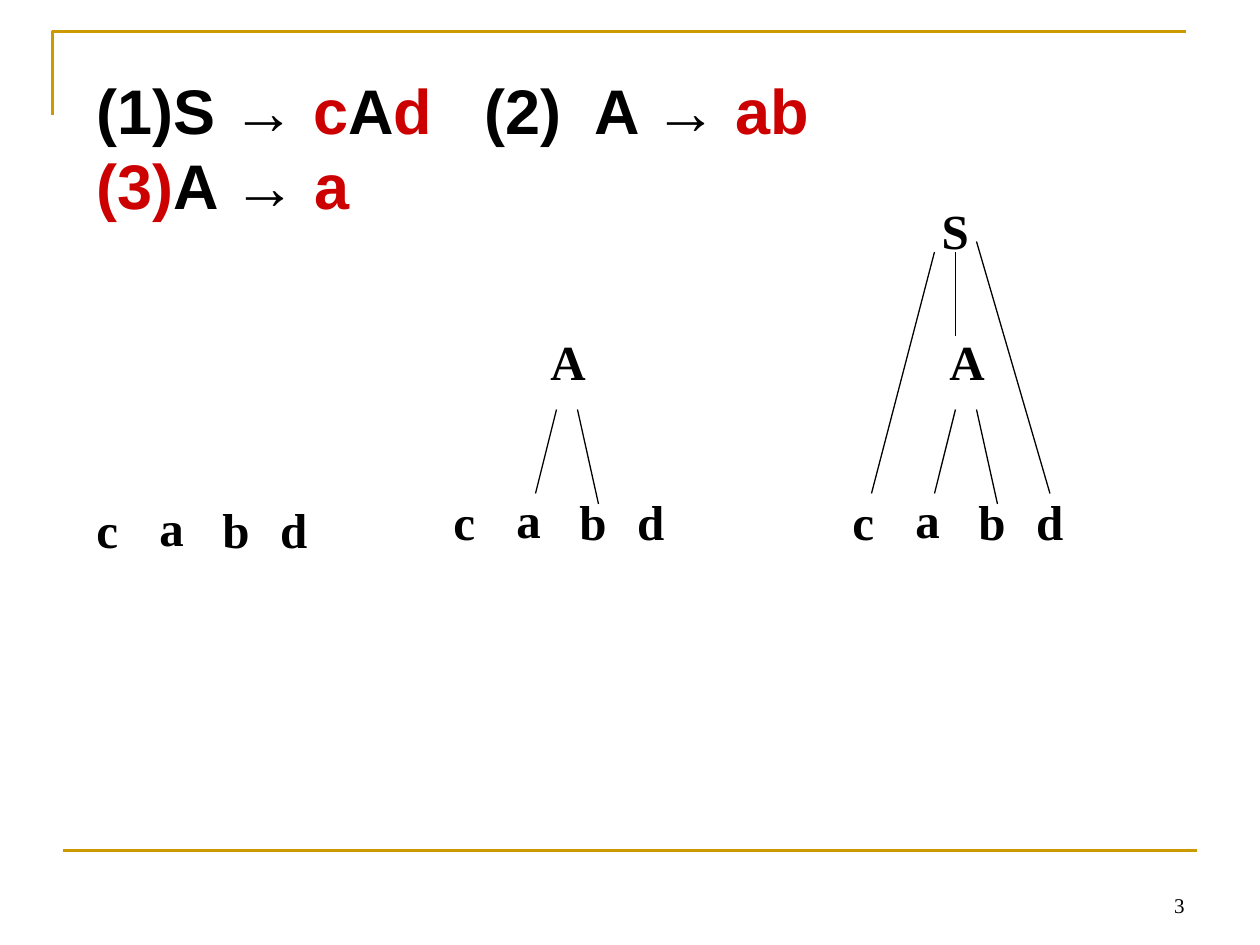
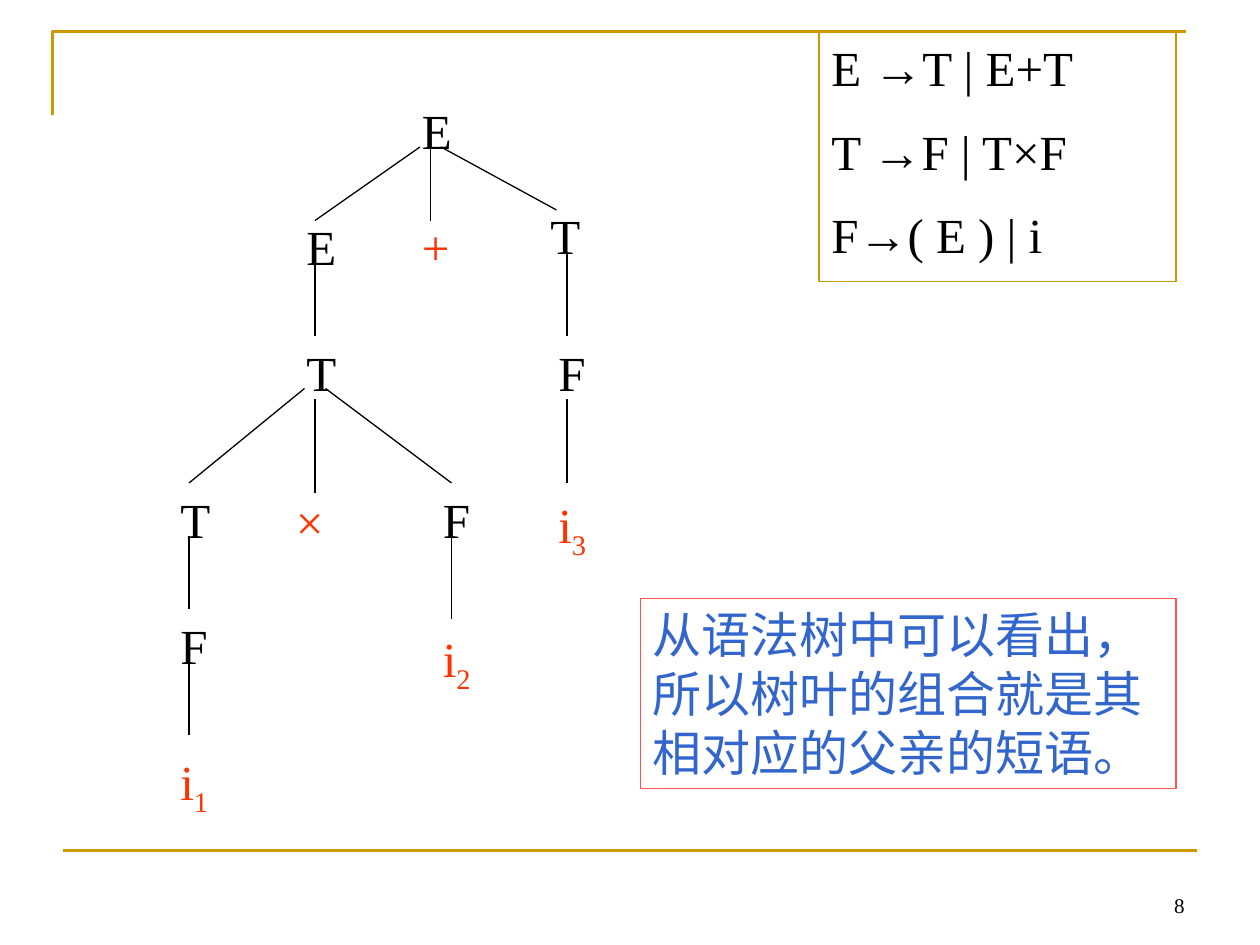
from dataclasses import dataclass
from lxml import etree
from pptx import Presentation
from pptx.dml.color import RGBColor
from pptx.enum.shapes import MSO_CONNECTOR, MSO_SHAPE
from pptx.enum.text import MSO_ANCHOR, MSO_AUTO_SIZE, PP_ALIGN
from pptx.oxml.ns import qn
from pptx.util import Inches, Pt

LINE = MSO_CONNECTOR.STRAIGHT
RECT = MSO_SHAPE.RECTANGLE
GROW = MSO_AUTO_SIZE.SHAPE_TO_FIT_TEXT
TOP, LOW = MSO_ANCHOR.TOP, MSO_ANCHOR.BOTTOM
LEFT, RIGHT = PP_ALIGN.LEFT, PP_ALIGN.RIGHT
WIDTH, HEIGHT = Inches(10), Inches(7.5)
COLS, ROWS = 120, 90


@dataclass(frozen=True)
class Theme:
    ink: str = "000000"
    gold: str = "CC9900"
    red: str = "CC0000"
    leaf: str = "FF3300"
    rose: str = "FF5050"
    blue: str = "3366CC"
    serif: str = "Times New Roman"
    sans: str = "Arial"
    head: int = 36
    body: int = 28
    foot: int = 12
    gap: int = 14
    thick: float = 1.5
    thin: float = 0.75


THEME = Theme()


def across(col):
    return round(WIDTH * col / COLS)


def down(row):
    return round(HEIGHT * row / ROWS)


def area(col, row, wide, high):
    return across(col), down(row), across(wide), down(high)


def stroke(line, color, width):
    line.color.rgb = RGBColor.from_string(color)
    line.width = Pt(width)


def add_run(para, text, color=THEME.ink, size=THEME.body, face=THEME.serif,
            bold=False, sub=False):
    run = para.add_run()
    run.text = text
    font = run.font
    font.size, font.name, font.bold = Pt(size), face, bold
    font.color.rgb = RGBColor.from_string(color)
    if sub:
        run._r.get_or_add_rPr().set("baseline", "-25000")


def set_frame(shape, anchor=TOP, grow=True):
    frame = shape.text_frame
    frame.word_wrap = True
    frame.vertical_anchor = anchor
    if grow:
        frame.auto_size = GROW
    return frame


def add_text(shapes, place, anchor=TOP, grow=True):
    return set_frame(shapes.add_textbox(*area(*place)), anchor, grow)


def add_edge(shapes, ends, color=THEME.ink, width=THEME.thin):
    x, y, far, deep = ends
    edge = shapes.add_connector(LINE, across(x), down(y), across(far), down(deep))
    stroke(edge.line, color, width)
    etree.SubElement(edge._element.spPr, qn("a:effectLst"))


def add_node(shapes, col, row, text, color=THEME.ink, sub="", wide=5, bold=False):
    para = add_text(shapes, (col, row, wide, 6.84)).paragraphs[0]
    add_run(para, text, color, bold=bold)
    if sub:
        add_run(para, sub, color, sub=True)


def add_box(slide, place, lines, edge, color):
    box = slide.shapes.add_shape(RECT, *area(*place))
    box.shadow.inherit = False
    box.fill.background()
    stroke(box.line, edge, THEME.thin)
    frame = set_frame(box)
    for index, text in enumerate(lines):
        para = frame.add_paragraph() if index else frame.paragraphs[0]
        para.alignment = LEFT
        if index:
            para.space_before = Pt(THEME.gap)
        add_run(para, text, color)


def add_page(deck, number):
    slide = deck.slides.add_slide(deck.slide_layouts[6])
    pen = slide.shapes.build_freeform(across(5), down(11))
    pen.add_line_segments([(across(5), down(3)), (across(113), down(3))], close=False)
    rim = pen.convert_to_shape()
    rim.shadow.inherit = False
    rim.fill.background()
    stroke(rim.line, THEME.gold, THEME.thick)
    add_edge(slide.shapes, (6, 81, 114, 81), THEME.gold, THEME.thick)
    para = add_text(slide.shapes, (86, 82, 28, 6), LOW, grow=False).paragraphs[0]
    para.alignment = RIGHT
    add_run(para, number, size=THEME.foot)
    return slide


def add_tabs(para, stops):
    tabs = etree.SubElement(para._p.get_or_add_pPr(), qn("a:tabLst"))
    for stop in stops:
        etree.SubElement(tabs, qn("a:tab"), pos=str(across(stop)), algn="l")


def add_rules(slide):
    para = add_text(slide.shapes, (8, 6.2, 85, 15.6)).paragraphs[0]
    add_tabs(para, (37, 47.4))
    first = [("(1)S → ", THEME.ink), ("c", THEME.red), ("A", THEME.ink),
             ("d", THEME.red), ("\t(2)\tA → ", THEME.ink), ("ab", THEME.red)]
    second = [("(3)", THEME.red), ("A → ", THEME.ink), ("a", THEME.red)]
    for index, line in enumerate((first, second)):
        if index:
            para.add_line_break()
        for text, color in line:
            add_run(para, text, color, THEME.head, THEME.sans, bold=True)


def add_word(slide, col, row, branch=False):
    shapes = slide.shapes.add_group_shape().shapes
    for text, step, lift in (("c", 0, 0), ("a", 6, 0.2), ("b", 12, 0), ("d", 17.5, 0)):
        add_node(shapes, col + step, row - lift, text, wide=6, bold=True)
    if branch:
        add_node(shapes, col + 9.25, 31, "A", wide=6, bold=True)
        add_edge(shapes, (col + 11, 39, col + 9, 47))
        add_edge(shapes, (col + 13, 39, col + 15, 48))


def add_steps(deck):
    slide = add_page(deck, "3")
    add_word(slide, 8, 47)
    for col in (42, 80):
        add_word(slide, col, 46.2, branch=True)
    add_node(slide.shapes, 88.5, 18.5, "S", wide=6, bold=True)
    for ends in ((89, 24, 83, 47), (93, 23, 100, 47), (91, 24, 91, 32)):
        add_edge(slide.shapes, ends)
    add_rules(slide)


def add_tree(deck):
    slide = add_page(deck, "8")
    shapes = slide.shapes.add_group_shape().shapes
    for ends in ((40, 14, 30, 21), (41, 14, 41, 21), (42, 14, 53, 20),
                 (30, 25, 30, 32), (54, 24, 54, 32), (30, 38, 30, 47),
                 (29, 37, 18, 46), (31, 37, 43, 46), (54, 38, 54, 46),
                 (43, 51, 43, 59), (18, 51, 18, 58), (18, 63, 18, 70)):
        add_edge(shapes, ends)
    for col, row, text in ((39, 9, "E"), (28, 20, "E"), (51.25, 19, "T"),
                           (28, 32, "T"), (52, 32, "F"), (16, 46, "T"),
                           (41, 46, "F"), (16, 58, "F")):
        add_node(shapes, col, row, text)
    for col, row, text, sub in ((39, 20, "+", ""), (27, 46.2, "×", ""),
                                (52, 46.5, "i", "3"), (41, 59.25, "i", "2"),
                                (16, 71, "i", "1")):
        add_node(shapes, col, row, text, THEME.leaf, sub, wide=7)
    add_box(slide, (61, 57, 51, 18.1),
            ["从语法树中可以看出，所以树叶的组合就是其相对应的父亲的短语。"],
            THEME.rose, THEME.blue)
    add_box(slide, (78, 3, 34, 23.8), ["E →T | E+T", "T →F | T×F", "F→( E ) | i"],
            THEME.gold, THEME.ink)


def main():
    deck = Presentation()
    deck.slide_width, deck.slide_height = WIDTH, HEIGHT
    add_steps(deck)
    add_tree(deck)
    deck.save("out.pptx")


if __name__ == "__main__":
    main()
